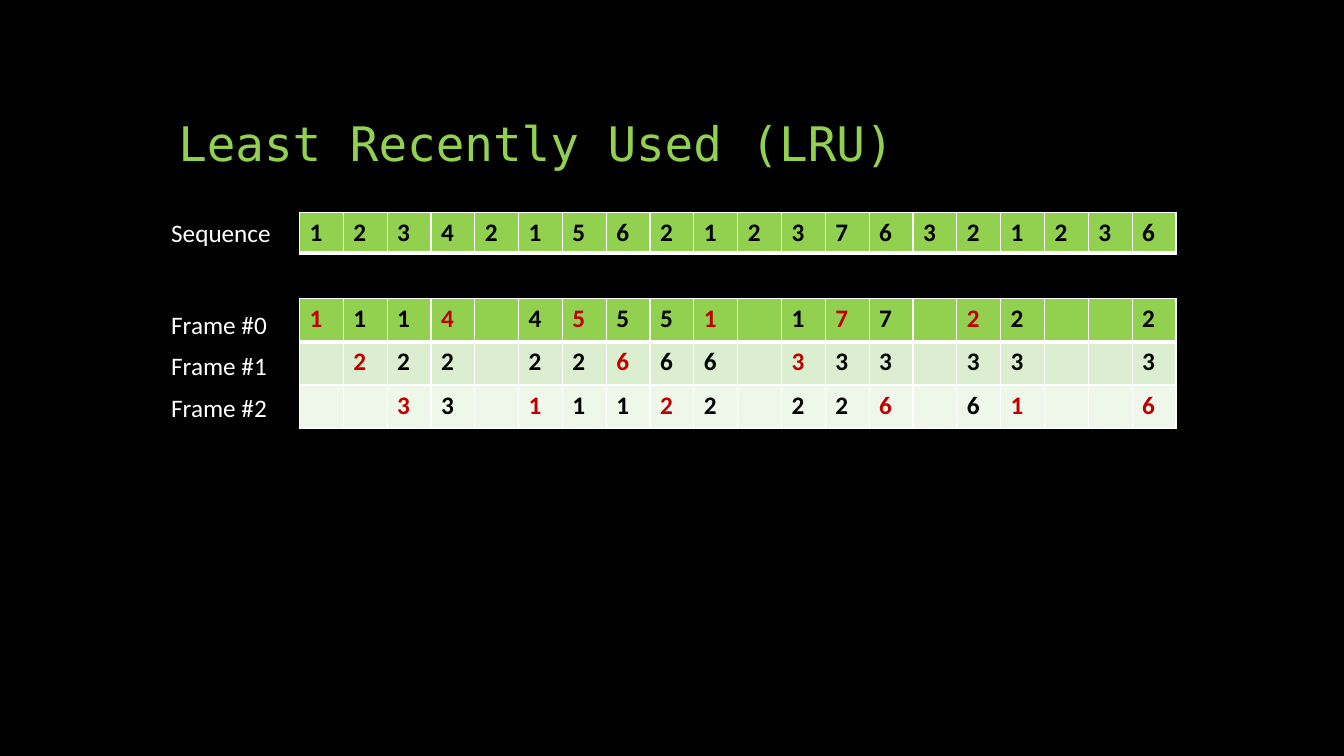
from lxml.etree import SubElement
from pptx import Presentation
from pptx.dml.color import RGBColor
from pptx.enum.text import MSO_ANCHOR
from pptx.oxml.ns import qn
from pptx.util import Inches, Pt

GREEN = "92D050"
WHITE = "FFFFFF"
BLACK = "000000"
RED = "C00000"
ROW_FILLS = [GREEN, "DCEED0", "EEF7E9"]


def style_font(font, size, color, name="Calibri", bold=False):
    font.size = Pt(size)
    font.name = name
    font.bold = bold
    font.color.rgb = RGBColor.from_string(color)


def add_grid(rows, top, row_height, mark_changes):
    """Add a table of page numbers; a space in a row is an empty cell."""
    grid = slide.shapes.add_table(
        len(rows), len(rows[0]), Inches(2.97), Inches(top),
        Inches(8.7), Inches(row_height * len(rows))).table
    for r, row in enumerate(rows):
        previous = None
        for c, page in enumerate(row):
            cell = grid.cell(r, c)
            widths = {"L": 1, "R": 1, "T": 3 if r == 1 else 1, "B": 3 if r == 0 else 1}
            for side, width in widths.items():
                border = SubElement(cell._tc.get_or_add_tcPr(), qn(f"a:ln{side}"),
                                    w=str(Pt(width)))
                line_fill = SubElement(border, qn("a:solidFill"))
                SubElement(line_fill, qn("a:srgbClr"), val=WHITE)
            cell.fill.solid()
            cell.fill.fore_color.rgb = RGBColor.from_string(ROW_FILLS[r])
            cell.text = page.strip()
            loaded = mark_changes and page != " " and page != previous
            style_font(cell.text_frame.paragraphs[0].font, 18,
                       RED if loaded else BLACK, bold=True)
            if page != " ":
                previous = page


prs = Presentation()
prs.slide_width = Inches(13.33)
prs.slide_height = Inches(7.5)
slide = prs.slides.add_slide(prs.slide_layouts[6])
slide.background.fill.solid()
slide.background.fill.fore_color.rgb = RGBColor.from_string(BLACK)

title = slide.shapes.add_textbox(Inches(1.67), Inches(0.5), Inches(10), Inches(1.25)).text_frame
title.word_wrap = True
title.vertical_anchor = MSO_ANCHOR.BOTTOM
heading = title.paragraphs[0]
heading.text = "Least Recently Used (LRU)"
heading.line_spacing = 0.9
style_font(heading.font, 34, GREEN, name="DejaVu Sans Mono")

add_grid(["12342156212376321236"], 2.11, 0.4, mark_changes=False)
add_grid(["1114 45551 177 22  2",
          " 222 22666 333 33  3",
          "  33 11122 226 61  6"], 2.96, 0.43, mark_changes=True)

row_labels = [("Sequence", 2.11)]
row_labels += [(f"Frame #{i}", 3.02 + 0.41 * i) for i in range(3)]
for text, top in row_labels:
    label = slide.shapes.add_textbox(Inches(1.6), Inches(top), Inches(1.2), Inches(0.4)).text_frame
    label.word_wrap = False
    label.text = text
    style_font(label.paragraphs[0].font, 18, WHITE)

prs.save("out.pptx")
